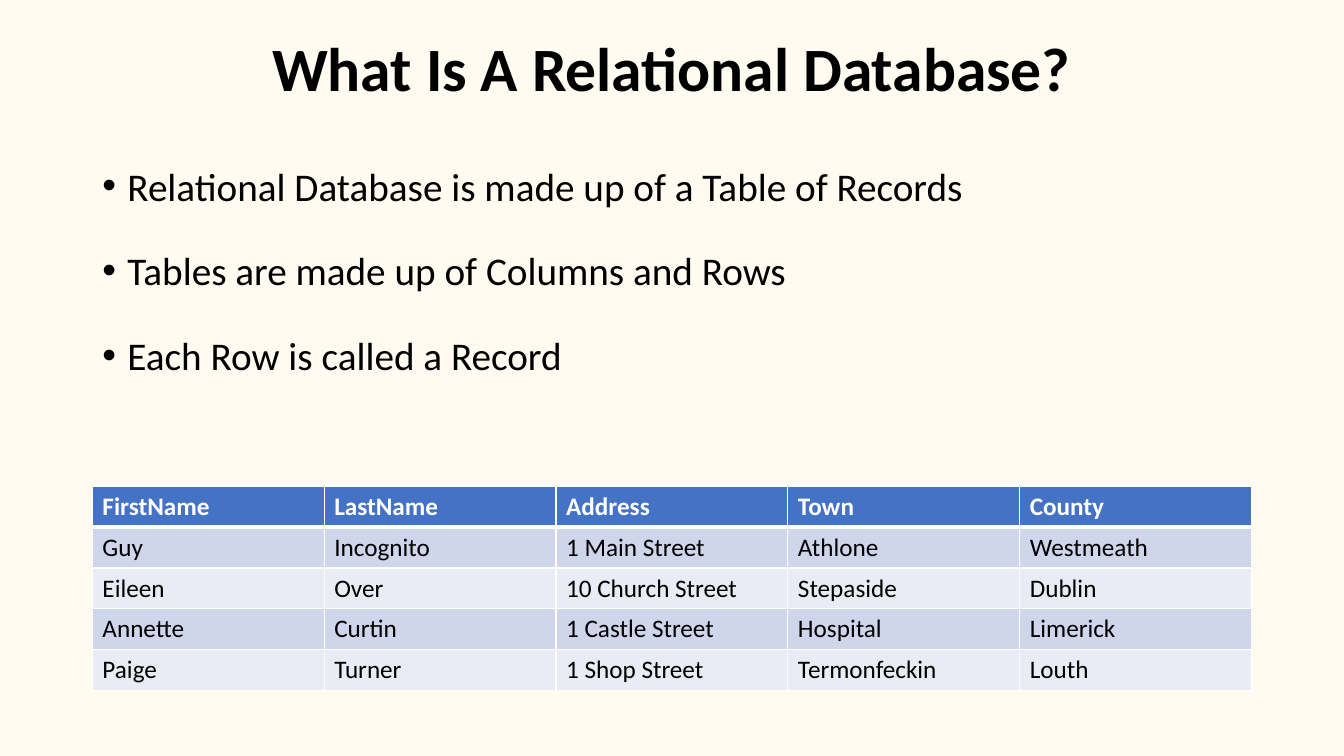
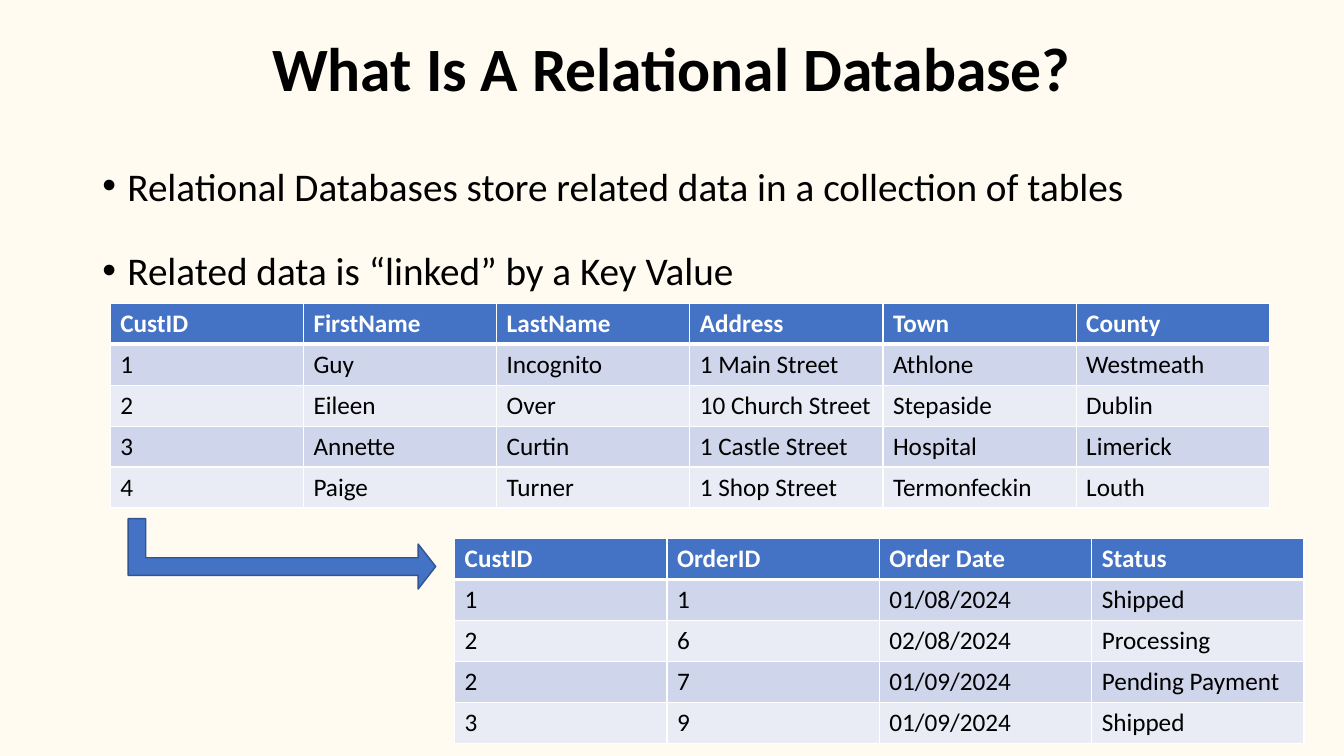
from dataclasses import dataclass

from lxml.etree import SubElement
from pptx import Presentation
from pptx.dml.color import RGBColor
from pptx.enum.shapes import MSO_SHAPE
from pptx.enum.text import MSO_ANCHOR, PP_ALIGN
from pptx.oxml.ns import qn
from pptx.util import Emu, Pt


@dataclass(frozen=True)
class Theme:
    font: str = "Calibri"
    background: str = "FFFBF0"
    ink: str = "000000"
    white: str = "FFFFFF"
    accent: str = "4472C4"
    accent_edge: str = "325491"
    bands: tuple = ("CFD5EA", "E9EBF5")
    title_size: int = 44
    body_size: int = 28
    table_size: int = 18
    thin: int = 1
    thick: int = 3


THEME = Theme()
SLIDE_SIZE = (1280, 720)
TITLE_AREA = (0, 13, 1280, 111)
BODY_AREA = (88, 127, 1104, 562)
ROW_HEIGHT = 39
BULLET_INDENT = 24

TITLE = "What Is A Relational Database?"
PEOPLE = [
    ("FirstName", "LastName", "Address", "Town", "County"),
    ("Guy", "Incognito", "1 Main Street", "Athlone", "Westmeath"),
    ("Eileen", "Over", "10 Church Street", "Stepaside", "Dublin"),
    ("Annette", "Curtin", "1 Castle Street", "Hospital", "Limerick"),
    ("Paige", "Turner", "1 Shop Street", "Termonfeckin", "Louth"),
]
CUSTOMERS = [
    (key, *person) for key, person in zip(("CustID", "1", "2", "3", "4"), PEOPLE)
]
ORDERS = [
    ("CustID", "OrderID", "Order Date", "Status"),
    ("1", "1", "01/08/2024", "Shipped"),
    ("2", "6", "02/08/2024", "Processing"),
    ("2", "7", "01/09/2024", "Pending Payment"),
    ("3", "9", "01/09/2024", "Shipped"),
]
PAGES = [
    {
        "bullets": [
            "Relational Database is made up of a Table of Records",
            "Tables are made up of Columns and Rows",
            "Each Row is called a Record",
        ],
        "tables": [(PEOPLE, 88, 463, 1104)],
        "arrows": [],
    },
    {
        "bullets": [
            "Relational Databases store related data in a collection of tables",
            "Related data is “linked” by a Key Value",
        ],
        "tables": [(CUSTOMERS, 105, 289, 1104), (ORDERS, 433, 513, 809)],
        "arrows": [(235, 381, 67, 293)],
    },
]


def px(value):
    return Emu(round(value * 9525))


def place(area):
    return [px(value) for value in area]


def rgb(value):
    return RGBColor.from_string(value)


def add_span(para, text, size, color=THEME.ink, bold=False):
    span = para.add_run()
    span.text = text
    span.font.name = THEME.font
    span.font.size = Pt(size)
    span.font.bold = bold
    span.font.color.rgb = rgb(color)


def add_text_frame(page, area):
    frame = page.shapes.add_textbox(*place(area)).text_frame
    frame.word_wrap = True
    return frame


def add_title(page, text):
    frame = add_text_frame(page, TITLE_AREA)
    frame.vertical_anchor = MSO_ANCHOR.MIDDLE
    para = frame.paragraphs[0]
    para.alignment = PP_ALIGN.CENTER
    para.line_spacing = 0.9
    add_span(para, text, THEME.title_size, bold=True)


def add_bullets(page, bullets):
    frame = add_text_frame(page, BODY_AREA)
    for index, text in enumerate(bullets):
        para = frame.add_paragraph() if index else frame.paragraphs[0]
        para.line_spacing = 1.5
        para.space_before = Pt(10)
        properties = para._p.get_or_add_pPr()
        properties.set("marL", str(px(BULLET_INDENT)))
        properties.set("indent", str(px(-BULLET_INDENT)))
        SubElement(properties, qn("a:buFont"), typeface="Arial")
        SubElement(properties, qn("a:buChar"), char="•")
        add_span(para, text, THEME.body_size)


def set_borders(cell, row_index):
    top = THEME.thick if row_index == 1 else THEME.thin
    bottom = THEME.thick if row_index == 0 else THEME.thin
    widths = {"lnL": THEME.thin, "lnR": THEME.thin, "lnT": top, "lnB": bottom}
    properties = cell._tc.get_or_add_tcPr()
    for side, width in widths.items():
        line = SubElement(properties, qn(f"a:{side}"), w=str(Pt(width)))
        fill = SubElement(line, qn("a:solidFill"))
        SubElement(fill, qn("a:srgbClr"), val=THEME.white)


def add_data_table(page, rows, left, top, width):
    columns = len(rows[0])
    area = place((left, top, width, ROW_HEIGHT * len(rows)))
    table = page.shapes.add_table(len(rows), columns, *area).table
    table.horz_banding = False
    for column in table.columns:
        column.width = px(width / columns)
    for row_index, values in enumerate(rows):
        table.rows[row_index].height = px(ROW_HEIGHT)
        header = row_index == 0
        fill = THEME.accent if header else THEME.bands[(row_index - 1) % 2]
        color = THEME.white if header else THEME.ink
        for column_index, text in enumerate(values):
            cell = table.cell(row_index, column_index)
            set_borders(cell, row_index)
            cell.fill.solid()
            cell.fill.fore_color.rgb = rgb(fill)
            para = cell.text_frame.paragraphs[0]
            add_span(para, text, THEME.table_size, color, header)


def add_key_arrow(page, area):
    arrow = page.shapes.add_shape(MSO_SHAPE.BENT_UP_ARROW, *place(area))
    arrow.rotation = 90
    for index, value in enumerate((0.25, 0.32, 0.25)):
        arrow.adjustments[index] = value
    arrow.shadow.inherit = False
    arrow.fill.solid()
    arrow.fill.fore_color.rgb = rgb(THEME.accent)
    arrow.line.color.rgb = rgb(THEME.accent_edge)
    arrow.line.width = Pt(THEME.thin)


def main():
    deck = Presentation()
    deck.slide_width, deck.slide_height = place(SLIDE_SIZE)
    background = deck.slide_master.background.fill
    background.solid()
    background.fore_color.rgb = rgb(THEME.background)
    for content in PAGES:
        page = deck.slides.add_slide(deck.slide_layouts[6])
        add_title(page, TITLE)
        add_bullets(page, content["bullets"])
        for table in content["tables"]:
            add_data_table(page, *table)
        for area in content["arrows"]:
            add_key_arrow(page, area)
    deck.save("out.pptx")


if __name__ == "__main__":
    main()
